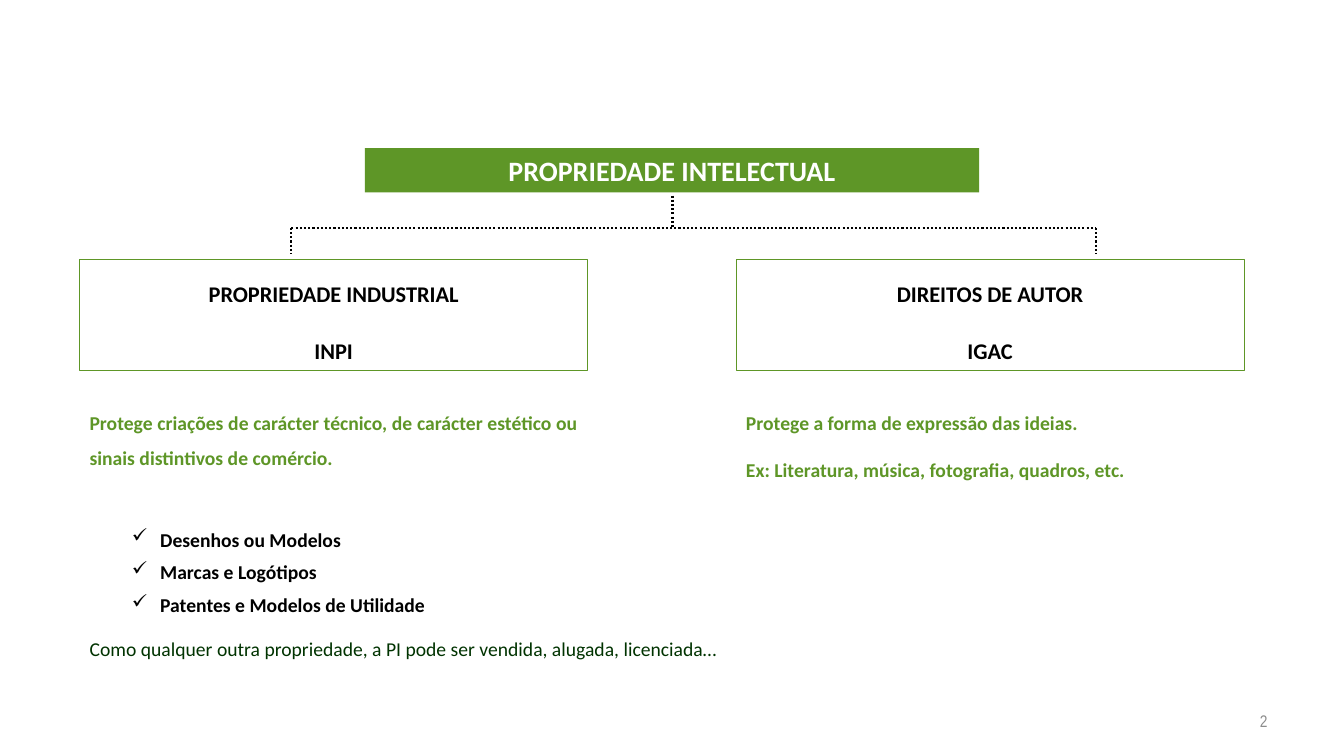
from lxml import etree
from pptx import Presentation
from pptx.dml.color import RGBColor
from pptx.enum import dml, shapes, text
from pptx.oxml.ns import qn
from pptx.util import Inches, Pt

# Content
GREEN, BLACK, WHITE = "5E9627", "000000", "FFFFFF"
TITLE = ["PROPRIEDADE INTELECTUAL"]
BRANCHES = [
    (0.79, 5.04, ["PROPRIEDADE INDUSTRIAL", "INPI"],
     ["Protege criações de carácter técnico, de carácter estético ou "
      "sinais distintivos de comércio."]),
    (7.3, 5.35, ["DIREITOS DE AUTOR", "IGAC"],
     ["Protege a forma de expressão das ideias.",
      "Ex: Literatura, música, fotografia, quadros, etc."]),
]
EXAMPLES = ["Desenhos ou Modelos", "Marcas e Logótipos",
            "Patentes e Modelos de Utilidade"]
CLOSING = ["Como qualquer outra propriedade, a PI pode ser vendida, "
           "alugada, licenciada…"]
PAGE_NUMBER = ["2"]

# Tree geometry
BOX_TOP, BOX_WIDTH, BOX_HEIGHT = 2.57, 5.04, 1.1
LEFT_X, CENTRE_X, RIGHT_X = 2.89, 6.67, 10.87
STEM_TOP, RAIL_Y, DROP_END = 1.94, 2.26, 2.52
TREE_LINES = [
    (CENTRE_X, STEM_TOP, CENTRE_X, RAIL_Y),
    (LEFT_X, RAIL_Y, RIGHT_X, RAIL_Y),
    (LEFT_X, RAIL_Y, LEFT_X, DROP_END),
    (RIGHT_X, RAIL_Y, RIGHT_X, DROP_END),
]

LEFT, CENTRE = text.PP_ALIGN.LEFT, text.PP_ALIGN.CENTER
RIGHT, JUSTIFY = text.PP_ALIGN.RIGHT, text.PP_ALIGN.JUSTIFY

deck = Presentation()
deck.slide_width, deck.slide_height = Inches(13.33), Inches(7.5)
page = deck.slides.add_slide(deck.slide_layouts[6])


def colour(value):
    return RGBColor.from_string(value)


def add_check(para):
    props = para._p.get_or_add_pPr()
    props.set("marL", str(Inches(0.28)))
    props.set("indent", str(-Inches(0.28)))
    tint = etree.SubElement(props, qn("a:buClr"))
    etree.SubElement(tint, qn("a:srgbClr"), val=BLACK)
    etree.SubElement(props, qn("a:buChar"), char="✓")


def write(box, lines, size, ink, align=LEFT, bold=True, spacing=None,
          before=0, font="Calibri", checks=False, wrap=True,
          anchor=text.MSO_ANCHOR.TOP):
    frame = box.text_frame
    frame.text = "\n".join(lines)
    frame.word_wrap = wrap
    frame.vertical_anchor = anchor
    for index, para in enumerate(frame.paragraphs):
        para.alignment = align
        if spacing:
            para.line_spacing = spacing
        if index and before:
            para.space_before = Pt(before)
        if checks:
            add_check(para)
        for span in para.runs:
            span.font.name = font
            span.font.size = Pt(size)
            span.font.bold = bold
            span.font.color.rgb = colour(ink)


def add_text(left, top, width, height, lines, size, ink, **style):
    box = page.shapes.add_textbox(*map(Inches, (left, top, width, height)))
    write(box, lines, size, ink, **style)


def add_box(left, top, width, height, fill=None, line=None):
    box = page.shapes.add_shape(shapes.MSO_SHAPE.RECTANGLE,
                                *map(Inches, (left, top, width, height)))
    box.shadow.inherit = False
    if fill:
        box.fill.solid()
        box.fill.fore_color.rgb = colour(fill)
    else:
        box.fill.background()
    if line:
        box.line.color.rgb = colour(line)
        box.line.width = Pt(0.5)
    else:
        box.line.fill.background()
    return box


# Dotted tree
for ends in TREE_LINES:
    link = page.shapes.add_connector(shapes.MSO_CONNECTOR.STRAIGHT,
                                     *map(Inches, ends))
    link.line.color.rgb = colour(BLACK)
    link.line.width = Pt(1.5)
    link.line.dash_style = dml.MSO_LINE.ROUND_DOT
    etree.SubElement(link._element.spPr, qn("a:effectLst"))

# Root and branches
root = add_box(3.62, 1.47, 6.09, 0.44, fill=GREEN)
write(root, TITLE, 20, WHITE, align=CENTRE)
for left, text_width, heading, summary in BRANCHES:
    branch = add_box(left, BOX_TOP, BOX_WIDTH, BOX_HEIGHT, line=GREEN)
    write(branch, heading, 16, BLACK, align=CENTRE, spacing=1.6, before=10)
    add_text(left, 3.91, text_width, 0.94, summary, 14, GREEN,
             align=JUSTIFY, spacing=1.5, before=8.8)

# Examples, closing line and page number
add_text(1.21, 5.09, 4.62, 1.09, EXAMPLES, 14, BLACK, spacing=1.4, checks=True)
add_text(0.79, 6.27, 6.49, 0.34, CLOSING, 14, "003300", bold=False, wrap=False)
add_text(9.56, 6.95, 3.11, 0.4, PAGE_NUMBER, 12, "8C8C8C", align=RIGHT,
         bold=False, font="Arial Narrow", anchor=text.MSO_ANCHOR.MIDDLE)

deck.save("out.pptx")
